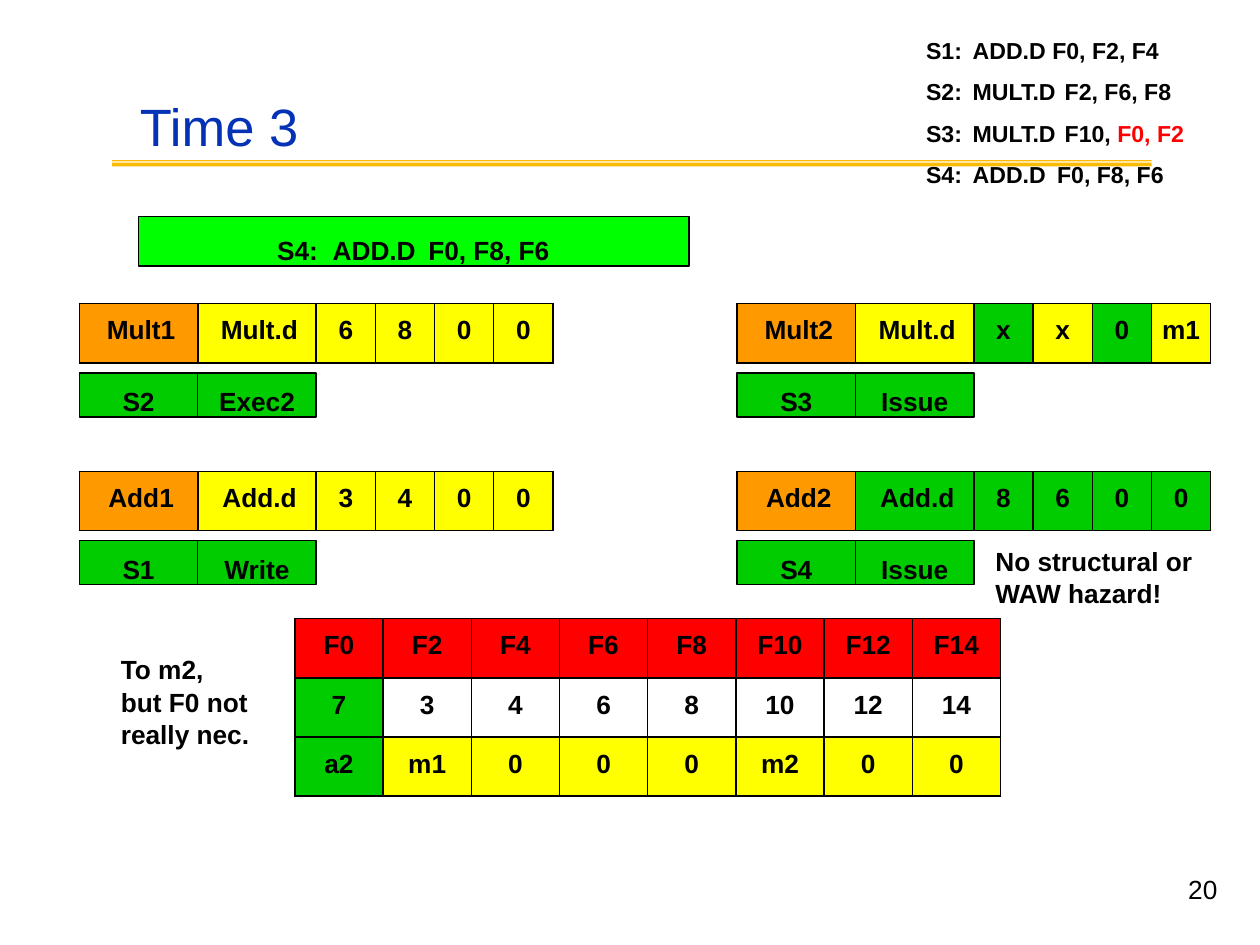
from lxml.etree import SubElement
from pptx import Presentation
from pptx.dml.color import RGBColor
from pptx.enum.shapes import MSO_SHAPE
from pptx.enum.text import MSO_ANCHOR, PP_ALIGN
from pptx.oxml.ns import qn
from pptx.util import Inches, Pt

COLORS = {
    "black": "000000", "blue": "0332B7", "gold": "FBBA03", "lime": "00FF00",
    "o": "FF9900", "y": "FFFF00", "g": "00CC00", "r": "FF0000", "w": "FFFFFF",
}
TITLE = "Time 3"
ISSUING = "S4:\tADD.D\tF0, F8, F6"
PROGRAM = [
    (0.28, 0.24, 1, [0.37], [["S1:\tADD.D F0, F2, F4"]]),
    (0.5, 0.64, 1.49, [0.37, 1.1],
     [["S2:\tMULT.D\tF2, F6, F8"], ["S3:\tMULT.D\tF10, ", ("F0, F2", "r")]]),
    (1.26, 0.24, 1, [0.37, 1.04], [["S4:\tADD.D\tF0, F8, F6"]]),
]
STATIONS = [
    (0, 0, ["Mult1", "Mult.d", "6", "8", "0", "0"], "oyyyyy", ["S2", "Exec2"]),
    (1, 0, ["Mult2", "Mult.d", "x", "x", "0", "m1"], "oygygy", ["S3", "Issue"]),
    (0, 1, ["Add1", "Add.d", "3", "4", "0", "0"], "oyyyyy", ["S1", "Write"]),
    (1, 1, ["Add2", "Add.d", "8", "6", "0", "0"], "oggggg", ["S4", "Issue"]),
]
REGISTERS = [
    ["F0", "F2", "F4", "F6", "F8", "F10", "F12", "F14"],
    ["7", "3", "4", "6", "8", "10", "12", "14"],
    ["a2", "m1", "0", "0", "0", "m2", "0", "0"],
]
REGISTER_FILLS = ["rrrrrrrr", "gwwwwwww", "gyyyyyyy"]
NOTES = [
    ((0.95, 5.17, 1.2, 0.76), ["To m2,", "but F0 not", "really nec."]),
    ((7.89, 4.31, 1.7, 0.51), ["No structural or", "WAW hazard!"]),
]
ROW_H, COL_W, REG_W = 0.47, 0.47, 0.7
STATION_X, STATION_Y, STATION_DX, STATION_DY = 0.63, 2.41, 5.22, 1.33
STAGE_DY, STAGE_H = 0.55, 0.35


def rgb(name):
    return RGBColor.from_string(COLORS[name])


def write(tf, lines, size=15, color="black", bold=True, align=PP_ALIGN.LEFT,
          spacing=1, tabs=()):
    for i, runs in enumerate(lines):
        p = tf.paragraphs[0] if i == 0 else tf.add_paragraph()
        p.alignment, p.line_spacing = align, spacing
        if tabs:
            tab_list = SubElement(p._p.get_or_add_pPr(), qn("a:tabLst"))
            for pos in tabs:
                SubElement(tab_list, qn("a:tab"), pos=str(Inches(pos)), algn="l")
        for run in runs:
            text, shade = (run, color) if isinstance(run, str) else run
            r = p.add_run()
            r.text = text
            r.font.name, r.font.size, r.font.bold = "Arial", Pt(size), bold
            r.font.color.rgb = rgb(shade)


def set_frame(tf, left=0, top=0.0):
    tf.word_wrap, tf.vertical_anchor = True, MSO_ANCHOR.TOP
    tf.margin_left, tf.margin_top = Inches(left), Inches(top)
    tf.margin_right = tf.margin_bottom = 0
    return tf


def add_text(s, box, lines, top=0.01, **style):
    sp = s.shapes.add_textbox(*map(Inches, box))
    write(set_frame(sp.text_frame, 0.01, top), lines, **style)


def add_box(s, box, text, fill, left=0, top=0.1, **style):
    sp = s.shapes.add_shape(MSO_SHAPE.RECTANGLE, *map(Inches, box))
    sp.shadow.inherit = False
    sp.fill.solid()
    sp.fill.fore_color.rgb = rgb(fill)
    sp.line.color.rgb, sp.line.width = rgb("black"), Pt(0.8)
    write(set_frame(sp.text_frame, left, top), [[text]], **style)


def add_borders(cell):
    tc_pr = cell._tc.get_or_add_tcPr()
    for side in ("lnL", "lnR", "lnT", "lnB"):
        ln = SubElement(tc_pr, qn(f"a:{side}"), w=str(Pt(1)))
        SubElement(SubElement(ln, qn("a:solidFill")), qn("a:srgbClr"), val=COLORS["black"])


def add_grid(s, x, y, widths, rows, fills):
    size = sum(widths), ROW_H * len(rows)
    table = s.shapes.add_table(len(rows), len(widths), *map(Inches, (x, y, *size))).table
    table.first_row = table.horz_banding = False
    for col, width in zip(table.columns, widths):
        col.width = Inches(width)
    for i, row in enumerate(rows):
        table.rows[i].height = Inches(ROW_H)
        for j, text in enumerate(row):
            cell = table.cell(i, j)
            add_borders(cell)
            cell.fill.solid()
            cell.fill.fore_color.rgb = rgb(fills[i][j])
            cell.margin_left = Inches(0.04 if widths[j] > REG_W else 0)
            cell.margin_right = cell.margin_bottom = 0
            cell.margin_top = Inches(0.1)
            write(cell.text_frame, [[text]], align=PP_ALIGN.CENTER)


def add_rule(s, left, right, bands):
    builder = None
    for top, bottom in bands:
        points = [(Inches(x), Inches(y)) for x, y in
                  ((left, top), (right, top), (right, bottom), (left, bottom))]
        if builder is None:
            builder = s.shapes.build_freeform(*points[0])
        else:
            builder.move_to(*points[0])
        builder.add_line_segments(points[1:], close=True)
    sp = builder.convert_to_shape()
    sp.shadow.inherit = False
    sp.fill.solid()
    sp.fill.fore_color.rgb = rgb("gold")
    sp.line.fill.background()


def main():
    prs = Presentation()
    prs.slide_width, prs.slide_height = Inches(10), Inches(7.5)
    s = prs.slides.add_slide(prs.slide_layouts[5])
    add_rule(s, 0.89, 9.14, [(1.27, 1.28), (1.29, 1.32)])

    title = s.shapes.title
    title.left, title.top, title.width, title.height = map(Inches, (1.1, 0.74, 1.6, 0.52))
    write(set_frame(title.text_frame, 0.01, 0.01), [[TITLE]], size=30, color="blue", bold=False)

    add_box(s, (1.1, 1.72, 4.37, 0.39), ISSUING, "lime", left=1.1, top=0.14, tabs=(0.44, 1.2))
    for col, row, texts, fills, stage in STATIONS:
        x, y = STATION_X + col * STATION_DX, STATION_Y + row * STATION_DY
        add_grid(s, x, y, [2 * COL_W] * 2 + [COL_W] * 4, [texts], [fills])
        for i, text in enumerate(stage):
            add_box(s, (x + i * 2 * COL_W, y + STAGE_DY, 2 * COL_W, STAGE_H), text, "g",
                    align=PP_ALIGN.CENTER)
    add_grid(s, 2.34, 4.91, [REG_W] * 8, REGISTERS, REGISTER_FILLS)

    for box, lines in NOTES:
        add_text(s, box, [[line] for line in lines], spacing=1.03)
    for y, height, spacing, tabs, lines in PROGRAM:
        add_text(s, (7.34, y, 2.2, height), lines, size=13.2, spacing=spacing, tabs=tabs)
    add_text(s, (9.42, 6.94, 0.28, 0.48), [["20"]], top=0, bold=False, spacing=Pt(17.5))
    prs.save("out.pptx")


if __name__ == "__main__":
    main()
